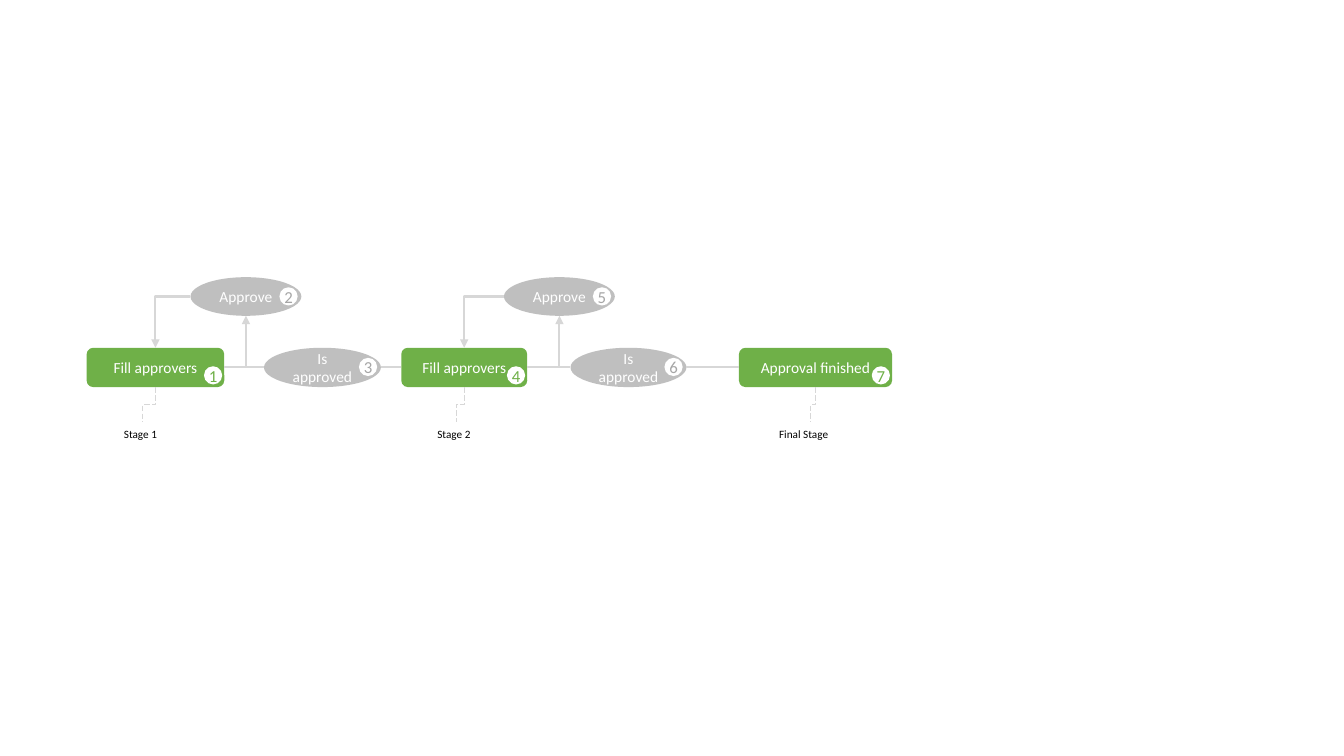
"""Draw an approval workflow with two review stages and a final stage."""
from pptx import Presentation
from pptx.dml.color import RGBColor
from pptx.enum.dml import MSO_LINE
from pptx.enum.shapes import MSO_CONNECTOR, MSO_SHAPE
from pptx.enum.text import MSO_ANCHOR, MSO_AUTO_SIZE, PP_ALIGN
from pptx.oxml.ns import qn
from pptx.util import Pt
from lxml import etree

GREEN = RGBColor(0x6F, 0xB0, 0x48)
GREY = RGBColor(0xBF, 0xBF, 0xBF)
DARK_GREY = RGBColor(0xA6, 0xA6, 0xA6)
LINE_GREY = RGBColor(0xD7, 0xD7, 0xD7)
WHITE = RGBColor(0xFF, 0xFF, 0xFF)
BLACK = RGBColor(0x00, 0x00, 0x00)

ROUNDED = MSO_SHAPE.ROUNDED_RECTANGLE
OVAL = MSO_SHAPE.OVAL
STRAIGHT = MSO_CONNECTOR.STRAIGHT
ELBOW = MSO_CONNECTOR.ELBOW
LONG_DASH = MSO_LINE.LONG_DASH
MIDDLE = MSO_ANCHOR.MIDDLE
FIT_SHAPE = MSO_AUTO_SIZE.SHAPE_TO_FIT_TEXT
LEFT, CENTER = PP_ALIGN.LEFT, PP_ALIGN.CENTER
LEFT_SIDE, RIGHT_SIDE = 1, 3

FLOW_TOP, FLOW_HEIGHT = 248.4, 28.1
APPROVE_TOP, APPROVE_WIDTH, APPROVE_HEIGHT = 198, 79.2, 27.6
LABEL_TOP, LABEL_HEIGHT = 301.7, 17.2
BADGE_SIZE = 13

FLOW = [
    (ROUNDED, "Fill approvers", 1, 61.9, 98.3),
    (OVAL, "Is approved", 3, 188.6, 83.5),
    (ROUNDED, "Fill approvers", 4, 286.6, 90),
    (OVAL, "Is approved", 6, 407.5, 82.8),
    (ROUNDED, "Approval finished", 7, 527.8, 109.4),
]
APPROVALS = [(0, 2, 136.1), (2, 5, 360)]
STAGES = [(0, "Stage 1", 81.4, 41), (2, "Stage 2", 305.3, 41),
          (4, "Final Stage", 549.4, 59)]


def center_x(shape):
    """Return the horizontal centre of a shape in points."""
    return (shape.left + shape.width / 2) / Pt(1)


def middle_y(shape):
    """Return the vertical middle of a shape in points."""
    return (shape.top + shape.height / 2) / Pt(1)


def right_x(shape):
    """Return the right edge of a shape in points."""
    return (shape.left + shape.width) / Pt(1)


class FlowPage:
    """Hold the workflow style and the slide being drawn."""

    font = "Calibri"

    def __init__(self, page):
        """Keep the slide to draw on."""
        self.page = page

    def add_text(self, box, text, size, color, align, **frame_format):
        """Put one formatted line of text into a shape."""
        frame = box.text_frame
        for name, value in {"word_wrap": True, **frame_format}.items():
            setattr(frame, name, value)
        para = frame.paragraphs[0]
        para.alignment = align
        span = para.add_run()
        span.text = text
        for name, value in {"name": self.font, "size": Pt(size)}.items():
            setattr(span.font, name, value)
        span.font.color.rgb = color

    def shape(self, kind, left, top, width, height, fill):
        """Add a flat, borderless preset shape."""
        box = self.page.shapes.add_shape(
            kind, Pt(left), Pt(top), Pt(width), Pt(height))
        box.shadow.inherit = False
        box.fill.solid()
        box.fill.fore_color.rgb = fill
        box.line.fill.background()
        return box

    def step(self, kind, text, left, top, width, height):
        """Add a green task box or a grey decision ellipse."""
        fill = GREEN if kind == ROUNDED else GREY
        box = self.shape(kind, left, top, width, height, fill)
        self.add_text(box, text, 11, WHITE, CENTER, vertical_anchor=MIDDLE)
        return box

    def badge(self, step, number):
        """Add the numbered circle near the right edge of a step."""
        is_task = step.auto_shape_type == ROUNDED
        inset, drop, color = (14.5, 13.2, GREEN) if is_task else (15.7, 7.2, DARK_GREY)
        circle = self.shape(OVAL, right_x(step) - inset, step.top / Pt(1) + drop,
                            BADGE_SIZE, BADGE_SIZE, WHITE)
        self.add_text(circle, str(number), 12, color, CENTER, vertical_anchor=MIDDLE,
                      margin_left=0, margin_right=0, margin_top=0, margin_bottom=0)

    def label(self, text, left, width):
        """Add a stage label."""
        box = self.page.shapes.add_textbox(
            Pt(left), Pt(LABEL_TOP), Pt(width), Pt(LABEL_HEIGHT))
        self.add_text(box, text, 8, BLACK, LEFT, auto_size=FIT_SHAPE)
        return box

    def line(self, kind, start, end, width=1.5):
        """Add a grey connector without a shadow."""
        connector = self.page.shapes.add_connector(
            kind, *(Pt(value) for value in (*start, *end)))
        connector.line.color.rgb = LINE_GREY
        connector.line.width = Pt(width)
        etree.SubElement(connector._element.spPr, qn("a:effectLst"))
        return connector

    def link(self, start, end):
        """Join two neighbouring steps with a straight line."""
        connector = self.line(STRAIGHT, (right_x(start), middle_y(start)),
                              (end.left / Pt(1), middle_y(end)))
        if start.auto_shape_type == ROUNDED:
            connector.begin_connect(start, RIGHT_SIDE)
        if end.auto_shape_type == ROUNDED:
            connector.end_connect(end, LEFT_SIDE)

    def corner_arrow(self, start, end):
        """Add an arrow that runs sideways and then turns once."""
        connector = self.line(ELBOW, start, end)
        properties = connector._element.spPr
        properties.find(qn("a:prstGeom")).set("prst", "bentConnector2")
        etree.SubElement(properties.find(qn("a:ln")), qn("a:tailEnd"), type="triangle")

    def leader(self, step, label):
        """Add a dashed, stepped line from a step down to its label."""
        start_x, end_x = center_x(step), center_x(label)
        start_y, end_y = FLOW_TOP + FLOW_HEIGHT, LABEL_TOP
        x, y = (start_x + end_x) / 2, (start_y + end_y) / 2
        reach, shift = (end_y - start_y) / 2, (start_x - end_x) / 2
        connector = self.line(ELBOW, (x - reach, y - shift), (x + reach, y + shift), 0.5)
        connector.line.dash_style = LONG_DASH
        connector._element.spPr.find(qn("a:xfrm")).set("rot", "5400000")


def main():
    """Build and save the workflow slide."""
    deck = Presentation()
    deck.slide_width, deck.slide_height = Pt(960), Pt(540)
    flow_page = FlowPage(deck.slides.add_slide(deck.slide_layouts[6]))

    steps = [flow_page.step(kind, text, left, FLOW_TOP, width, FLOW_HEIGHT)
             for kind, text, number, left, width in FLOW]
    for start, end in zip(steps, steps[1:]):
        flow_page.link(start, end)
    for step, (kind, text, number, left, width) in zip(steps, FLOW):
        flow_page.badge(step, number)

    for index, number, left in APPROVALS:
        task = steps[index]
        approve = flow_page.step(OVAL, "Approve", left, APPROVE_TOP,
                                 APPROVE_WIDTH, APPROVE_HEIGHT)
        flow_page.corner_arrow((right_x(task), middle_y(task)),
                               (center_x(approve), APPROVE_TOP + APPROVE_HEIGHT))
        flow_page.corner_arrow((left, middle_y(approve)), (center_x(task), FLOW_TOP))
        flow_page.badge(approve, number)

    for index, text, left, width in STAGES:
        flow_page.leader(steps[index], flow_page.label(text, left, width))

    deck.save("out.pptx")


if __name__ == "__main__":
    main()
